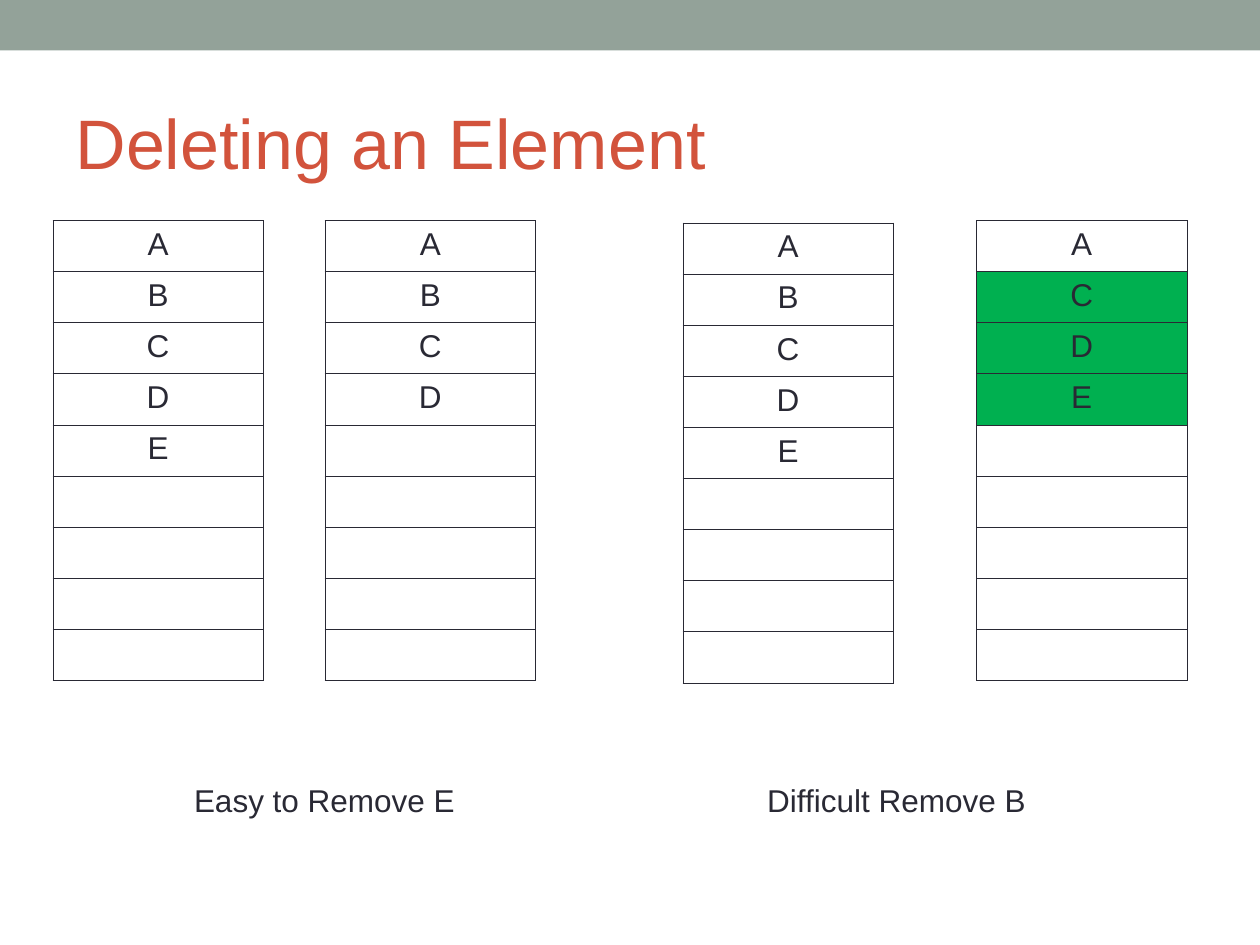
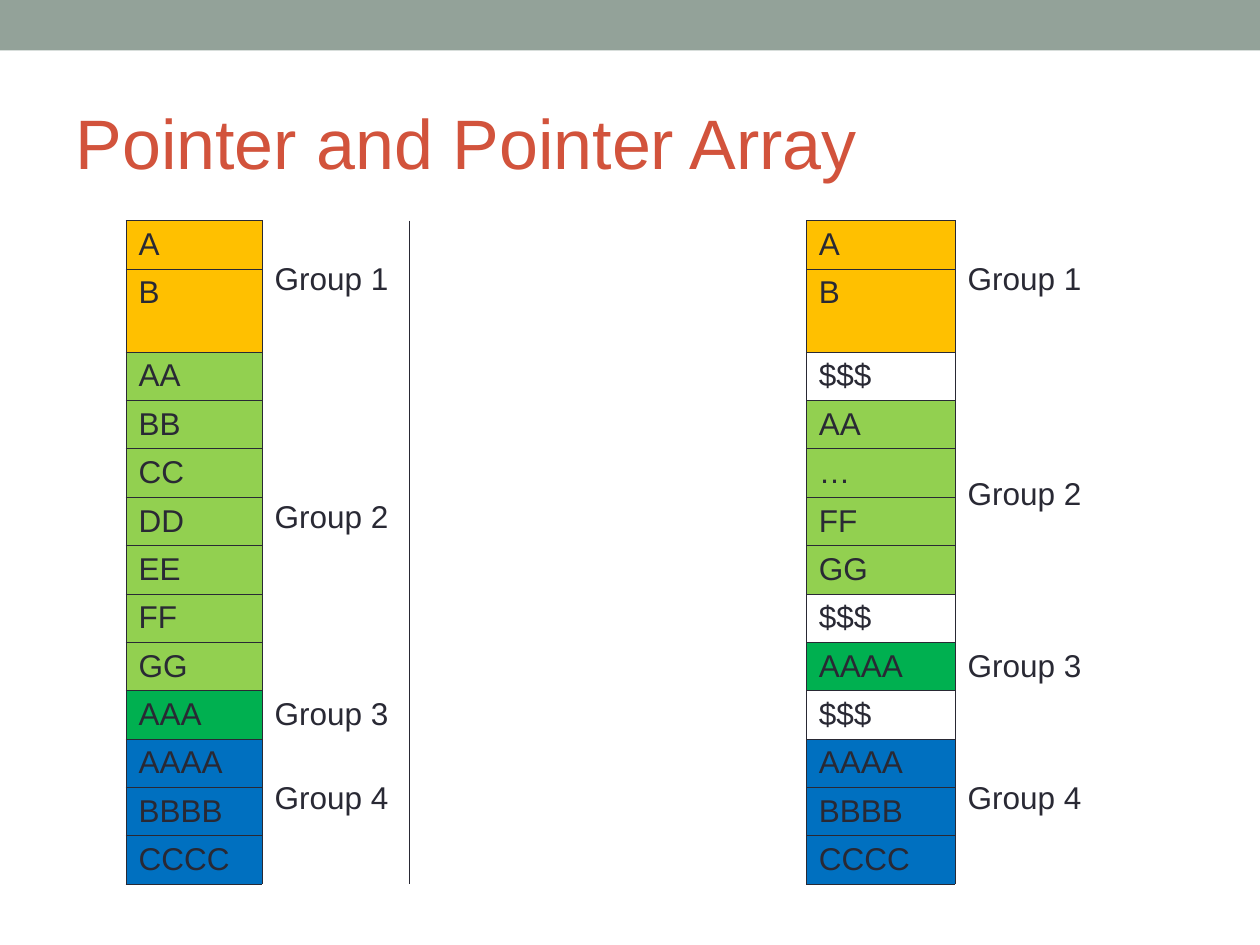
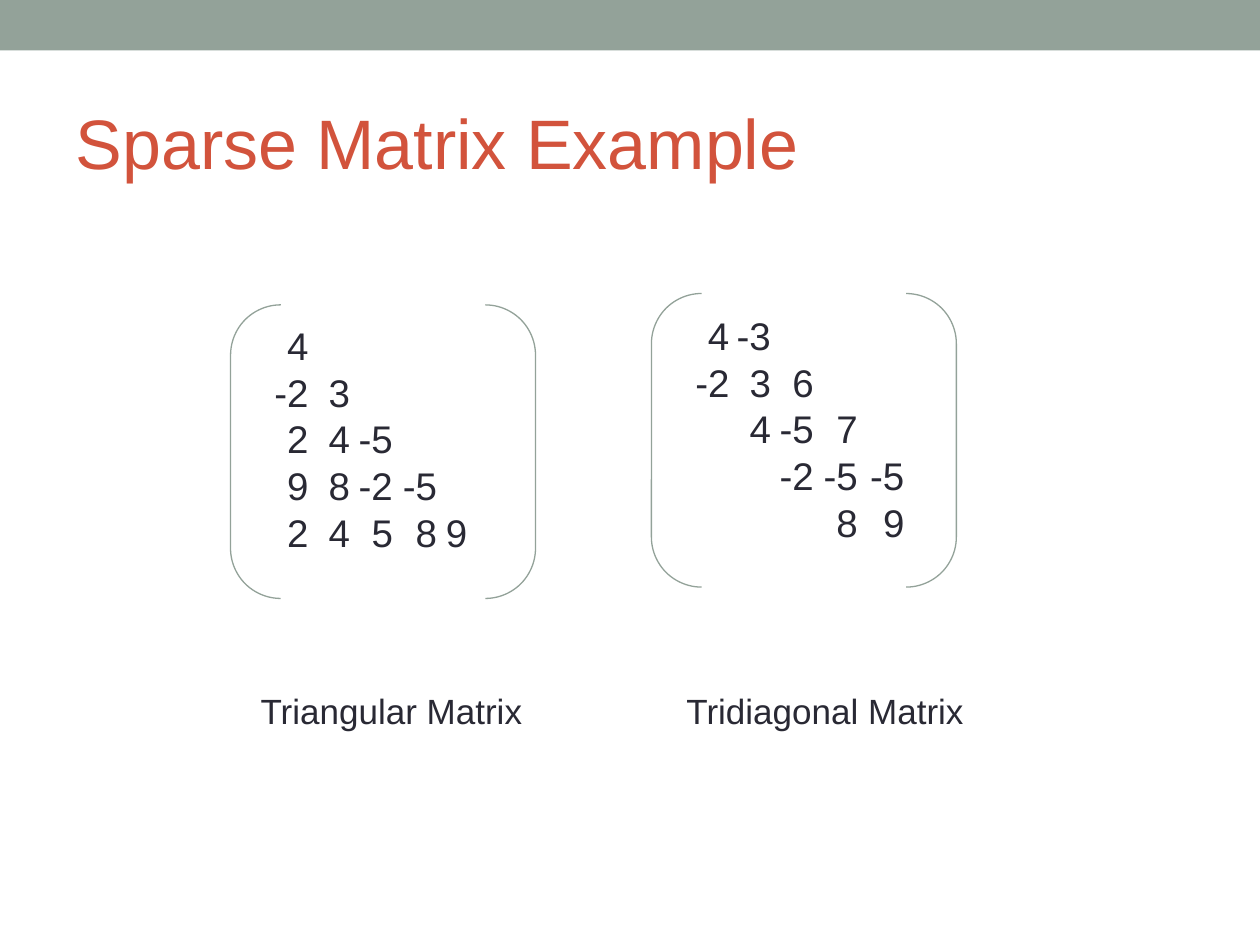
from pptx import Presentation
from pptx.dml.color import RGBColor
from pptx.enum.shapes import MSO_SHAPE
from pptx.enum.text import MSO_ANCHOR, PP_ALIGN
from pptx.oxml.ns import qn
from pptx.util import Inches, Pt
from lxml.etree import SubElement

FONT = "Arial"
INK, TITLE, BAND = "292934", "D2533C", "93A299"
AMBER, LIME, GREEN, BLUE = "FFC000", "92D050", "00B050", "0070C0"
NO_GRID_STYLE = "{2D5ABB26-0587-4C30-8999-92F81FD0307C}"
LINE_HEIGHT = 0.28  # one line of 18 pt text, in inches


def rgb(color):
    return RGBColor.from_string(color)


class Deck:
    def __init__(self):
        self.prs = Presentation()
        self.prs.slide_width, self.prs.slide_height = Inches(10), Inches(7.5)
        self.s = None

    def run(self, p, text, size=18, color=INK):
        r = p.add_run()
        r.text = text
        r.font.name, r.font.size = FONT, Pt(size)
        r.font.color.rgb = rgb(color)

    def shape(self, kind, x, y, w, h, fill=None, line=None):
        sp = self.s.shapes.add_shape(kind, Inches(x), Inches(y), Inches(w), Inches(h))
        sp.shadow.inherit = False
        if fill:
            sp.fill.solid()
            sp.fill.fore_color.rgb = rgb(fill)
        else:
            sp.fill.background()
        if line:
            sp.line.color.rgb = rgb(line)
            sp.line.width = Pt(0.75)
        else:
            sp.line.fill.background()
        return sp

    def slide(self, title):
        self.s = self.prs.slides.add_slide(self.prs.slide_layouts[5])
        self.shape(MSO_SHAPE.RECTANGLE, 0, 0, 10, 0.4, fill=BAND)
        sp = self.s.shapes.title
        sp.left, sp.top, sp.width, sp.height = map(Inches, (0.5, 0.58, 9, 1.08))
        tf = sp.text_frame
        tf.vertical_anchor = MSO_ANCHOR.MIDDLE
        p = tf.paragraphs[0]
        p.alignment = PP_ALIGN.LEFT
        self.run(p, title, 40, TITLE)

    def tabbed_text(self, x, y, w, h, rows, stops, align, size, spacing=None, before=0):
        """Each row is a list of cells, every cell set at its own tab stop."""
        tf = self.s.shapes.add_textbox(*map(Inches, (x, y, w, h))).text_frame
        tf.word_wrap = True
        for i, row in enumerate(rows):
            p = tf.add_paragraph() if i else tf.paragraphs[0]
            tabs = SubElement(p._p.get_or_add_pPr(), qn("a:tabLst"))
            for stop in stops:
                SubElement(tabs, qn("a:tab"), pos=str(Inches(stop)), algn=align)
            if spacing:
                p.line_spacing = spacing
            if i:
                p.space_before = Pt(before)
            self.run(p, "".join("\t" + cell for cell in row), size)

    def table(self, x, y, widths, heights):
        rows, cols = len(heights), len(widths)
        frame = self.s.shapes.add_table(rows, cols, Inches(x), Inches(y),
                                        Inches(sum(widths)), Inches(sum(heights)))
        table = frame.table
        table.first_row = table.horz_banding = False
        table._tbl.tblPr.find(qn("a:tableStyleId")).text = NO_GRID_STYLE
        for col, w in zip(table.columns, widths):
            col.width = Inches(w)
        for row, h in zip(table.rows, heights):
            row.height = Inches(h)
        return table

    def cell(self, cell, text="", fill=None, sides="", align=PP_ALIGN.LEFT, lines_above=0):
        # Borders come before the fill in the cell properties
        tcPr = cell._tc.get_or_add_tcPr()
        for side in sides:
            ln = SubElement(tcPr, qn("a:ln" + side), w=str(Pt(0.45)))
            SubElement(SubElement(ln, qn("a:solidFill")), qn("a:srgbClr"), val=INK)
        if fill:
            cell.fill.solid()
            cell.fill.fore_color.rgb = rgb(fill)
        else:
            cell.fill.background()
        # Empty cells get no margins, so that they never stretch a row
        margin = 0.05 if text else 0
        cell.margin_top = Inches(margin + lines_above * LINE_HEIGHT)
        cell.margin_bottom = Inches(margin)
        if text:
            p = cell.text_frame.paragraphs[0]
            p.alignment = align
            self.run(p, text)

    def array(self, x, y, letters, shifted=""):
        """One column of nine slots; the shifted letters are highlighted."""
        slots = 9
        table = self.table(x, y, [1.67], [3.65 / slots] * slots)
        for i, letter in enumerate(letters.ljust(slots)):
            fill = GREEN if letter in shifted else None
            self.cell(table.cell(i, 0), letter.strip(), fill, "LRTB", PP_ALIGN.CENTER)

    def grouped_column(self, table, col, items, groups):
        """Bordered items in one column, group labels in the next."""
        for i, (text, fill) in enumerate(items):
            self.cell(table.cell(i, col), text, fill, "LRTB")
            self.cell(table.cell(i, col + 1), sides="L")
        for number, (first, last, lines_above) in enumerate(groups, 1):
            label = table.cell(first, col + 1)
            if last > first:
                label.merge(table.cell(last, col + 1))
            self.cell(label, f"Group {number}", lines_above=lines_above)

    def matrix(self, x, y, text_at, stops, rows):
        self.tabbed_text(*text_at, 2, rows, stops, "r", 22, spacing=0.8, before=5.5)
        sp = self.shape(MSO_SHAPE.DOUBLE_BRACKET, x, y, 2.42, 2.33, line=BAND)
        sp.adjustments[0] = 0.171


def deleting(d):
    d.slide("Deleting an Element")
    d.array(0.42, 1.75, "ABCDE")
    d.array(2.58, 1.75, "ABCD")
    d.array(5.42, 1.77, "ABCDE")
    d.array(7.75, 1.75, "ACDE", shifted="CDE")
    captions = d.table(0.42, 6.17, [4.31, 4.77], [0.4])
    for i, text in enumerate(["Easy to Remove E", "Difficult Remove B"]):
        d.cell(captions.cell(0, i), text, align=PP_ALIGN.CENTER)


def pointers(d):
    d.slide("Pointer and Pointer Array")
    total, tall, rows = 5.27, 0.66, 13
    heights = [(total - tall) / (rows - 1)] * rows
    heights[1] = tall
    table = d.table(1, 1.75, [1.08, 1.17, 3.15, 1.18, 1.25], heights)

    def paint(*blocks):
        return [(text, fill) for names, fill in blocks for text in names.split()]

    first, last = ("A B", AMBER), ("AAAA BBBB CCCC", BLUE)
    plain = paint(first, ("AA BB CC DD EE FF GG", LIME), ("AAA", GREEN), last)
    marked = paint(first, ("$$$", None), ("AA … FF GG", LIME), ("$$$", None),
                   ("AAAA", GREEN), ("$$$", None), last)
    # Groups: first row, last row, lines above the label
    d.grouped_column(table, 0, plain, [(0, 1, 1), (2, 8, 4), (9, 9, 0), (10, 12, 1)])
    d.grouped_column(table, 3, marked, [(0, 1, 1), (3, 6, 2), (8, 8, 0), (10, 12, 1)])
    # Open space between the two arrays
    for i in range(rows):
        d.cell(table.cell(i, 2))
    table.cell(0, 2).merge(table.cell(rows - 1, 2))


def matrices(d):
    d.slide("Sparse Matrix Example")
    stops = [0.27, 0.6, 0.94, 1.29]
    d.matrix(1.83, 2.42, (2.08, 2.58, 1.83), stops + [1.53], [
        ["4"],
        ["-2", "3"],
        ["2", "4", "-5"],
        ["9", "8", "-2", "-5"],
        ["2", "4", "5", "8", "9"],
    ])
    d.matrix(5.17, 2.33, (5.42, 2.5, 2), stops + [1.66], [
        ["4", "-3"],
        ["-2", "3", "6"],
        ["", "4", "-5", "7"],
        ["", "", "-2", "-5", "-5"],
        ["", "", "", "8", "9"],
    ])
    d.tabbed_text(1.67, 5.42, 6.17, 0.44, [["Triangular Matrix", "Tridiagonal Matrix"]],
                  [0.3, 3.68], "l", 20)


def main():
    d = Deck()
    deleting(d)
    pointers(d)
    matrices(d)
    d.prs.save("out.pptx")


if __name__ == "__main__":
    main()
